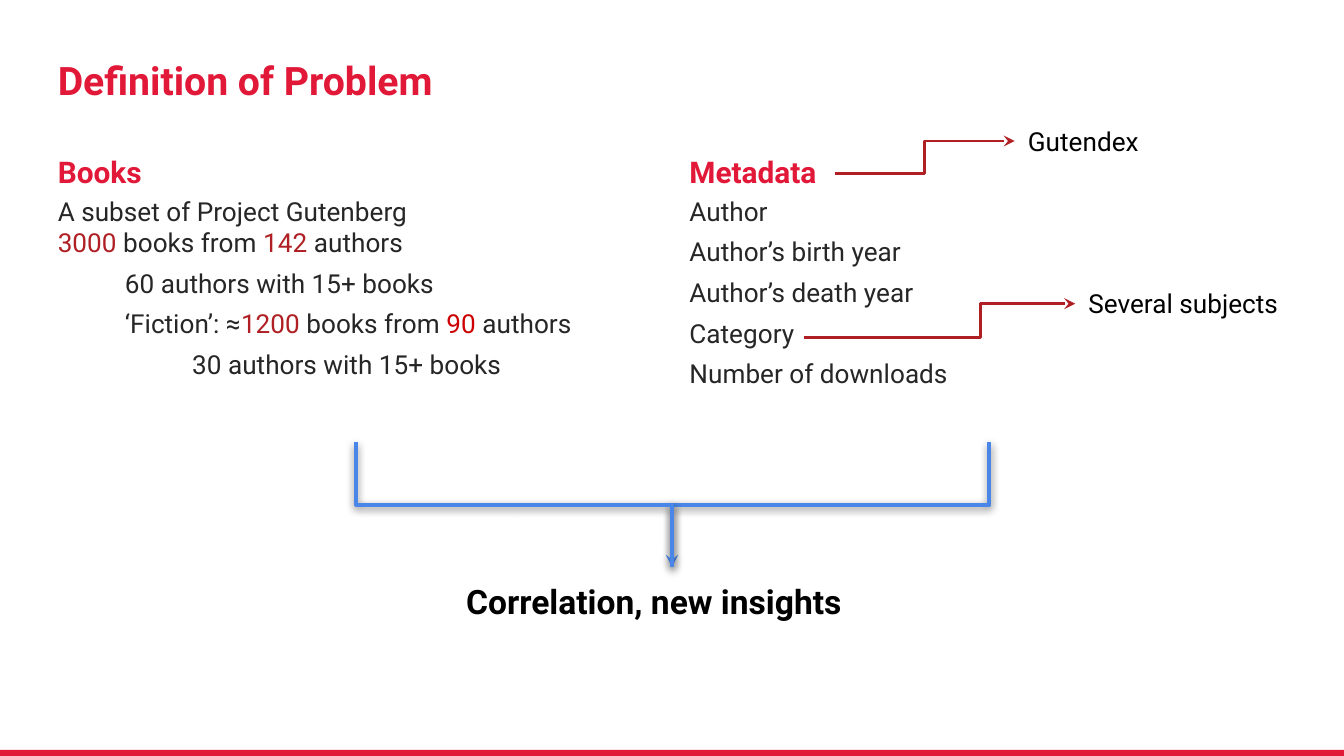
from lxml import etree
from pptx import Presentation
from pptx.dml.color import RGBColor
from pptx.enum.shapes import MSO_CONNECTOR, MSO_SHAPE
from pptx.enum.text import MSO_ANCHOR, MSO_AUTO_SIZE, PP_ALIGN
from pptx.oxml import parse_xml
from pptx.oxml.ns import nsdecls, qn
from pptx.util import Inches, Pt

ELBOW = MSO_CONNECTOR.ELBOW
RECT = MSO_SHAPE.RECTANGLE
TOP, BOTTOM = MSO_ANCHOR.TOP, MSO_ANCHOR.BOTTOM
NONE, GROW = MSO_AUTO_SIZE.NONE, MSO_AUTO_SIZE.SHAPE_TO_FIT_TEXT
LEFT = PP_ALIGN.LEFT

FONT = "Roboto"
COLORS = {"red": "E11837", "dark": "AF1F24", "bright": "CC0000",
          "text": "262626", "black": "000000", "blue": "4A86E8"}
WIDTH = 10
HEIGHT = WIDTH * 9 / 16
MARGIN, COL, RIGHT = 0.43, 4.45, 5.13

# Each row is an indent and its runs; a plain string is a run in the text colour.
BOOKS = [
    (0, ["A subset of Project Gutenberg", "\n", ("3000", "dark"), " books from ",
         ("142", "dark"), " authors"]),
    (0.5, ["60 authors with 15+ books"]),
    (0.5, ["‘Fiction’: ≈", ("1200", "dark"), " books from ",
           ("90", "bright"), " authors"]),
    (1, ["30 authors with 15+ books"]),
]
METADATA = [(0, [row]) for row in (
    "Author", "Author’s birth year", "Author’s death year",
    "Category", "Number of downloads")]


def rgb(name):
    return RGBColor.from_string(COLORS[name])


def add_run(para, text, size, color, bold=False):
    run = para.add_run()
    run.text = text
    font = run.font
    font.name, font.size, font.bold = FONT, Pt(size), bold
    font.color.rgb = rgb(color)


def set_frame(shape, box, inset, anchor, fit):
    shape.left, shape.top, shape.width, shape.height = map(Inches, box)
    frame = shape.text_frame
    frame.word_wrap = True
    frame.auto_size = fit
    frame.vertical_anchor = anchor
    frame.margin_left = frame.margin_right = Inches(inset)
    frame.margin_top = frame.margin_bottom = Inches(inset)
    return frame


def set_para(para, indent=0, before=0, after=0):
    props = para._p.get_or_add_pPr()
    props.set("marL", str(Inches(indent)))
    props.set("indent", "0")
    etree.SubElement(props, qn("a:buNone"))
    para.alignment = LEFT
    para.space_before, para.space_after = Pt(before), Pt(after)


def add_head(holder, box, text, size, after=0):
    para = set_frame(holder, box, 0, BOTTOM, NONE).paragraphs[0]
    set_para(para, after=after)
    add_run(para, text, size, "red", True)
    return para


def add_list(holder, box, rows):
    frame = set_frame(holder, box, 0, TOP, NONE)
    for i, (indent, runs) in enumerate(rows):
        para = frame.add_paragraph() if i else frame.paragraphs[0]
        set_para(para, indent, 5 if i else 0)
        for item in runs:
            if item == "\n":
                para.add_line_break()
            else:
                text, color = (item, "text") if isinstance(item, str) else item
                add_run(para, text, 14, color)


def add_column(head, body, box, title, rows):
    left, top, width, height = box
    add_head(head, (left, top, width, 0.43), title, 16, 2)
    add_list(body, (left, top + 0.47, width, height - 0.47), rows)


def add_label(slide, box, text, size, bold=False):
    shape = slide.shapes.add_textbox(0, 0, 0, 0)
    frame = set_frame(shape, box, 0.1, TOP, GROW)
    add_run(frame.paragraphs[0], text, size, "black", bold)


def add_elbow(slide, start, end, color, width, arrow=True, bend=0.5):
    """Draw a bent line that leaves sideways and turns at the share `bend`."""
    line = slide.shapes.add_connector(ELBOW, *map(Inches, (*start, *end)))
    line.line.color.rgb = rgb(color)
    line.line.width = Pt(width)
    props = line._element.spPr
    guides = props.find(qn("a:prstGeom")).get_or_add_avLst()
    etree.SubElement(guides, qn("a:gd"), name="adj1", fmla=f"val {round(bend * 100000)}")
    if arrow:
        etree.SubElement(props.find(qn("a:ln")), qn("a:tailEnd"), type="stealth")
    etree.SubElement(props, qn("a:effectLst"))
    return props


def add_drop(slide, start, end, arrow):
    """Draw a bent line that leaves downwards, as a turned elbow with a shadow."""
    (x1, y1), (x2, y2) = start, end
    mid_x, mid_y = (x1 + x2) / 2, (y1 + y2) / 2
    side = 1 if x2 < x1 else -1
    half_w, half_h = side * (y2 - y1) / 2, abs(x2 - x1) / 2
    props = add_elbow(slide, (mid_x - half_w, mid_y - half_h),
                      (mid_x + half_w, mid_y + half_h), "blue", 2.25, arrow)
    props.find(qn("a:xfrm")).set("rot", str(side * 90 % 360 * 60000))
    props.find(qn("a:effectLst")).append(parse_xml(
        f'<a:outerShdw {nsdecls("a")} blurRad="{Pt(4.5)}" dist="{Pt(1.5)}" '
        'dir="5400000" algn="bl" rotWithShape="0"><a:srgbClr val="000000">'
        '<a:alpha val="50000"/></a:srgbClr></a:outerShdw>'))


def add_note(slide, box, text, start, bend):
    left, top, _, height = box
    add_label(slide, box, text, 14)
    add_elbow(slide, start, (left, top + height / 2), "dark", 1.5, bend=bend)


def add_result(slide, box, text):
    left, top, width, _ = box
    add_label(slide, box, text, 18, True)
    mid = left + width / 2
    for side, reach in ((1, 2.36), (-1, 2.35)):
        add_drop(slide, (mid + side * reach, top - 0.93), (mid, top), side == 1)


def add_bar(slide, box):
    bar = slide.shapes.add_shape(RECT, *map(Inches, box))
    bar.shadow.inherit = False
    bar.fill.solid()
    bar.fill.fore_color.rgb = rgb("red")
    bar.line.fill.background()


def main():
    deck = Presentation()
    deck.slide_width, deck.slide_height = Inches(WIDTH), Inches(HEIGHT)
    slide = deck.slides.add_slide(deck.slide_layouts.get_by_name("Comparison"))
    title, head1, body1, head2, body2 = slide.placeholders
    add_bar(slide, (0, 5.58, WIDTH, 0.05))
    add_head(title, (MARGIN, 0.18, 9.15, 0.59), "Definition of Problem",
             21).line_spacing = 0.85
    add_column(head1, body1, (MARGIN, 0.98, COL, 2.31), "Books", BOOKS)
    add_column(head2, body2, (RIGHT, 0.98, COL, 2.31), "Metadata", METADATA)
    add_result(slide, (3.37, 4.22, 3.26, 0.5), "Correlation, new insights")
    add_note(slide, (8, 2.04, 1.87, 0.44), "Several subjects", (5.98, 2.51), 0.65)
    add_note(slide, (7.55, 0.83, 1.58, 0.44), "Gutendex", (6.21, 1.29), 0.5)
    deck.save("out.pptx")


if __name__ == "__main__":
    main()
